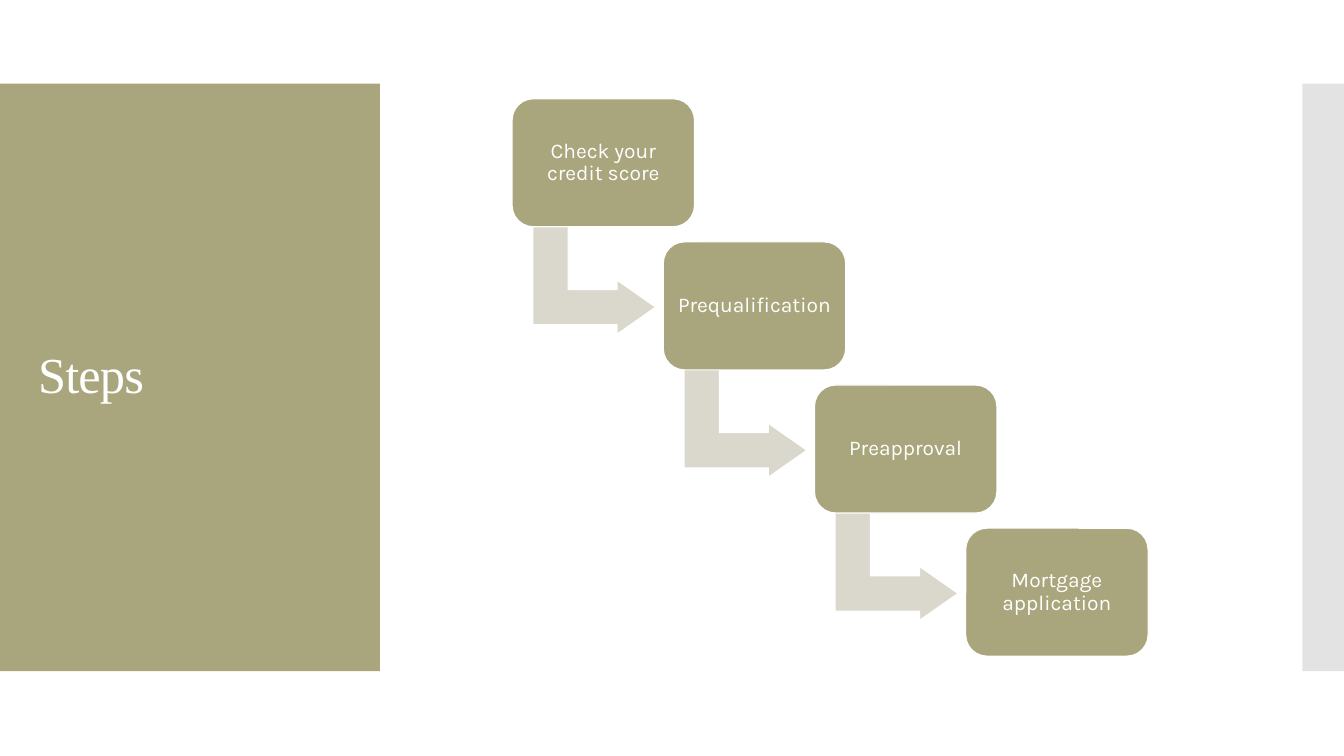
from lxml import etree
from pptx import Presentation
from pptx.dml.color import RGBColor
from pptx.enum.shapes import MSO_SHAPE
from pptx.enum.text import MSO_ANCHOR, PP_ALIGN
from pptx.oxml.ns import qn
from pptx.util import Emu, Inches, Pt

RECT = MSO_SHAPE.RECTANGLE
ROUNDED = MSO_SHAPE.ROUNDED_RECTANGLE
BENT_ARROW = MSO_SHAPE.BENT_UP_ARROW
MIDDLE = MSO_ANCHOR.MIDDLE
LEFT, CENTER = PP_ALIGN.LEFT, PP_ALIGN.CENTER

EMU_PER_PX = 9144
COLORS = {"olive": "A9A57C", "pale": "DAD8CC", "gray": "C8C8C8", "white": "FFFFFF"}
STEPS = ["Check your credit score", "Prequalification", "Preapproval", "Mortgage application"]
STEP_DX, STEP_DY = 150, 142


def px(value):
    return Emu(value * EMU_PER_PX)


def rgb(name):
    return RGBColor.from_string(COLORS[name])


def write(frame, text, *, font, size, align=LEFT, inset=(10, 5), tracking=None):
    frame.word_wrap = True
    frame.vertical_anchor = MIDDLE
    frame.margin_left = frame.margin_right = px(inset[0])
    frame.margin_top = frame.margin_bottom = px(inset[1])
    paragraph = frame.paragraphs[0]
    paragraph.alignment = align
    paragraph.line_spacing = 0.9
    run = paragraph.add_run()
    run.text = text
    run.font.name = font
    run.font.size = Pt(size)
    run.font.color.rgb = rgb("white")
    if tracking is not None:
        run.font._element.set("spc", str(tracking))


class SlideBuilder:
    heading_font = "Times New Roman"
    body_font = "Karla"

    def __init__(self, slide):
        self.shapes = slide.shapes

    def shape(self, kind, left, top, width, height, color, outlined=False, alpha=None):
        item = self.shapes.add_shape(kind, px(left), px(top), px(width), px(height))
        item.shadow.inherit = False
        item.fill.solid()
        item.fill.fore_color.rgb = rgb(color)
        if alpha is not None:
            tint = item._element.spPr.find(qn("a:solidFill"))[0]
            etree.SubElement(tint, qn("a:alpha"), val=str(alpha * 1000))
        if outlined:
            item.line.color.rgb = rgb("white")
            item.line.width = Pt(0.85)
        else:
            item.line.fill.background()
        return item

    def title(self, text, left, top, width, height):
        heading = self.shapes.add_textbox(px(left), px(top), px(width), px(height))
        write(heading.text_frame, text, font=self.heading_font, size=36, tracking=-60)

    def step(self, text, left, top):
        card = self.shape(ROUNDED, left, top, 181, 127, "olive", outlined=True)
        card.adjustments[0] = 0.167
        write(card.text_frame, text, font=self.body_font, size=15, align=CENTER, inset=(6, 6))

    def arrow(self, left, top):
        turn = self.shape(BENT_ARROW, left, top, 107, 122, "pale", outlined=True)
        turn.rotation = 90
        for index, value in enumerate((0.328, 0.25, 0.358)):
            turn.adjustments[index] = value


def main():
    deck = Presentation()
    deck.slide_width = Inches(13.333)
    deck.slide_height = Inches(7.5)
    builder = SlideBuilder(deck.slides.add_slide(deck.slide_layouts[6]))

    builder.shape(RECT, 0, 83, 377, 583, "olive")
    builder.shape(RECT, 1292, 83, 42, 583, "gray", alpha=50)
    builder.title("Steps", 28, 123, 322, 503)

    for index, label in enumerate(STEPS):
        dx, dy = index * STEP_DX, index * STEP_DY
        if index < len(STEPS) - 1:
            builder.arrow(536 + dx, 217 + dy)
        builder.step(label, 508 + dx, 98 + dy)

    deck.save("out.pptx")


if __name__ == "__main__":
    main()
